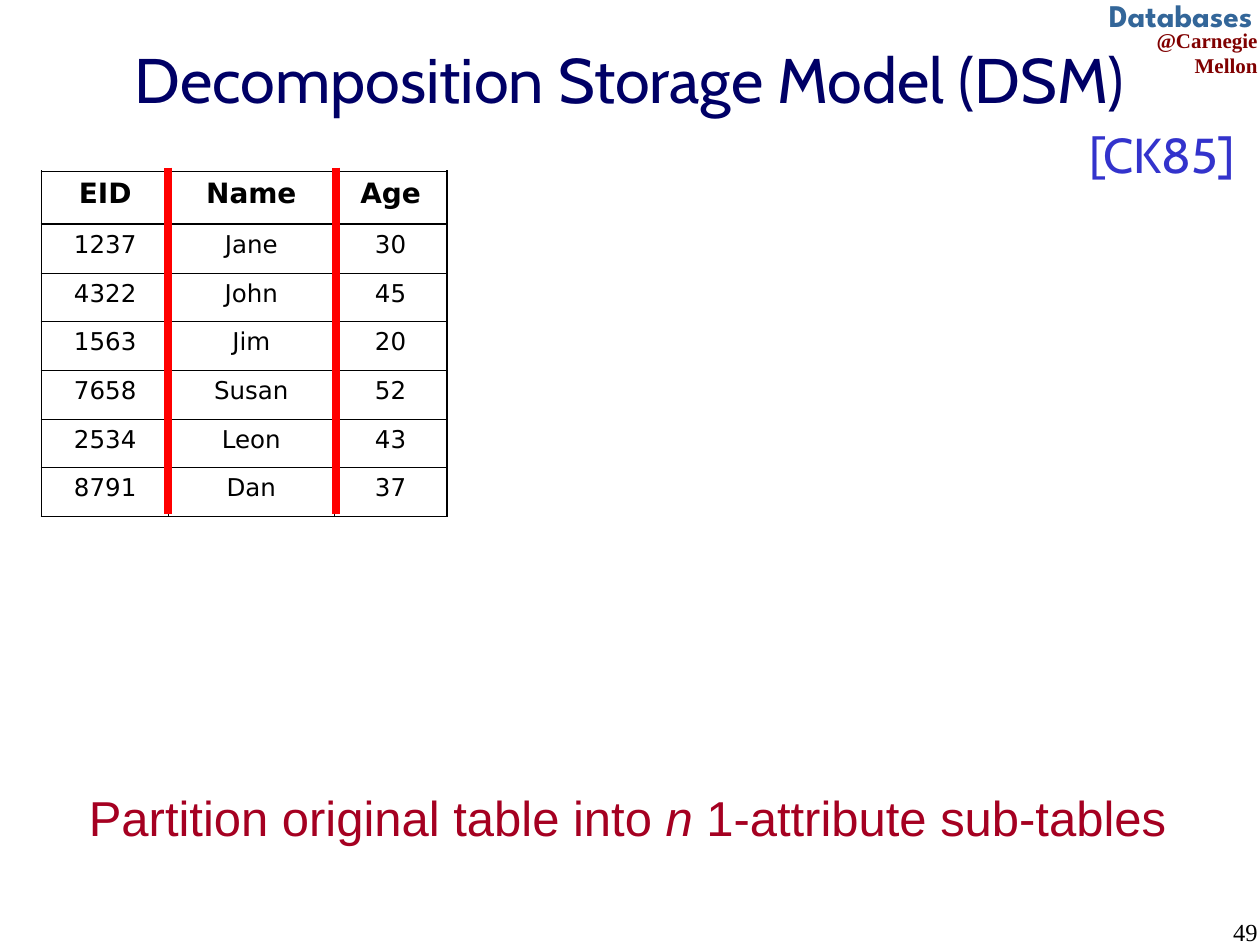
from lxml import etree
from pptx import Presentation
from pptx.dml.color import RGBColor
from pptx.enum.shapes import MSO_CONNECTOR
from pptx.enum.text import MSO_ANCHOR, PP_ALIGN
from pptx.oxml.ns import qn
from pptx.util import Inches, Pt

LEFT, CENTER, RIGHT = PP_ALIGN.LEFT, PP_ALIGN.CENTER, PP_ALIGN.RIGHT
MIDDLE = MSO_ANCHOR.MIDDLE
STRAIGHT = MSO_CONNECTOR.STRAIGHT

THICK, THIN = 1.08, 0.45
COLUMN_WIDTHS = (1.01, 1.31, 0.9)
TABLE_HEIGHT, HEADER_HEIGHT = 2.74, 0.42
EMPLOYEES = (
    ("EID", "Name", "Age"),
    ("1237", "Jane", "30"),
    ("4322", "John", "45"),
    ("1563", "Jim", "20"),
    ("7658", "Susan", "52"),
    ("2534", "Leon", "43"),
    ("8791", "Dan", "37"),
)


def color(value):
    return RGBColor.from_string(value)


def format_paragraph(paragraph, font_name, size, font_color, alignment, bold=False):
    paragraph.alignment = alignment
    font = paragraph.font
    font.name = font_name
    font.size = Pt(size)
    font.bold = bold
    font.color.rgb = color(font_color)


def add_text(slide, box, text, font_name, size, font_color, alignment, bold=False, wrap=False):
    shape = slide.shapes.add_textbox(*map(Inches, box))
    shape.text_frame.word_wrap = wrap
    paragraph = shape.text_frame.paragraphs[0]
    paragraph.text = text
    format_paragraph(paragraph, font_name, size, font_color, alignment, bold)
    return paragraph


def add_title(slide, text):
    title = slide.shapes.title
    title.left, title.top, title.width, title.height = map(Inches, (0.08, 0.25, 9.83, 0.75))
    title.text_frame.text = text
    title.text_frame.vertical_anchor = MIDDLE
    format_paragraph(title.text_frame.paragraphs[0], "Cabin", 36, "000066", CENTER)


def set_borders(cell, widths):
    properties = cell._tc.get_or_add_tcPr()
    for position, (side, width) in enumerate(zip("LRTB", widths)):
        line = etree.Element(qn(f"a:ln{side}"), w=str(Pt(width)))
        fill = etree.SubElement(line, qn("a:solidFill"))
        etree.SubElement(fill, qn("a:srgbClr"), val="000000")
        properties.insert(position, line)


def add_employee_table(slide):
    last_row, last_column = len(EMPLOYEES) - 1, len(COLUMN_WIDTHS) - 1
    frame = slide.shapes.add_table(
        last_row + 1, last_column + 1,
        Inches(0.33), Inches(1.36), Inches(sum(COLUMN_WIDTHS)), Inches(TABLE_HEIGHT),
    )
    table = frame.table
    for column, width in zip(table.columns, COLUMN_WIDTHS):
        column.width = Inches(width)
    body_height = (TABLE_HEIGHT - HEADER_HEIGHT) / last_row
    for row_index, values in enumerate(EMPLOYEES):
        header = row_index == 0
        table.rows[row_index].height = Inches(HEADER_HEIGHT if header else body_height)
        for column_index, value in enumerate(values):
            cell = table.cell(row_index, column_index)
            cell.text = value
            cell.fill.background()
            format_paragraph(cell.text_frame.paragraphs[0], "DejaVu Sans",
                             16 if header else 14, "000000", CENTER, header)
            thick_sides = (
                column_index == 0,
                column_index == last_column,
                row_index <= 1,
                row_index in (0, last_row),
            )
            set_borders(cell, [THICK if thick else THIN for thick in thick_sides])


def add_divider(slide, x):
    line = slide.shapes.add_connector(STRAIGHT, Inches(x), Inches(1.33), Inches(x), Inches(4.08))
    line.line.color.rgb = color("FF0000")
    line.line.width = Pt(4.5)
    etree.SubElement(line._element.spPr, qn("a:effectLst"))


def add_caption(slide):
    paragraph = add_text(slide, (0.46, 6.25, 9.04, 0.52), "Partition original table into ",
                         "Arial", 28, "A50021", CENTER, wrap=True)
    paragraph.line_spacing = 0.9
    variable = paragraph.add_run()
    variable.text = "n"
    variable.font.italic = True
    paragraph.add_run().text = " 1-attribute sub-tables"


def main():
    presentation = Presentation()
    presentation.slide_width, presentation.slide_height = Inches(10), Inches(7.5)
    slide = presentation.slides.add_slide(presentation.slide_layouts[5])
    add_text(slide, (8.54, 0.17, 1.54, 0.3), "@Carnegie Mellon",
             "Times New Roman", 12, "800000", RIGHT, bold=True)
    add_text(slide, (8.54, -0.08, 1.5, 0.4), "Databases",
             "League Spartan", 18, "336699", RIGHT, bold=True)
    add_title(slide, "Decomposition Storage Model (DSM)")
    add_employee_table(slide)
    for x in (1.33, 2.67):
        add_divider(slide, x)
    add_caption(slide)
    add_text(slide, (8.53, 0.94, 1.38, 0.57), "[CK85]", "Cabin", 28, "3333CC", CENTER)
    add_text(slide, (7.75, 7.23, 2.33, 0.52), "49",
             "Times New Roman", 14, "000000", RIGHT, wrap=True)
    presentation.save("out.pptx")


if __name__ == "__main__":
    main()
